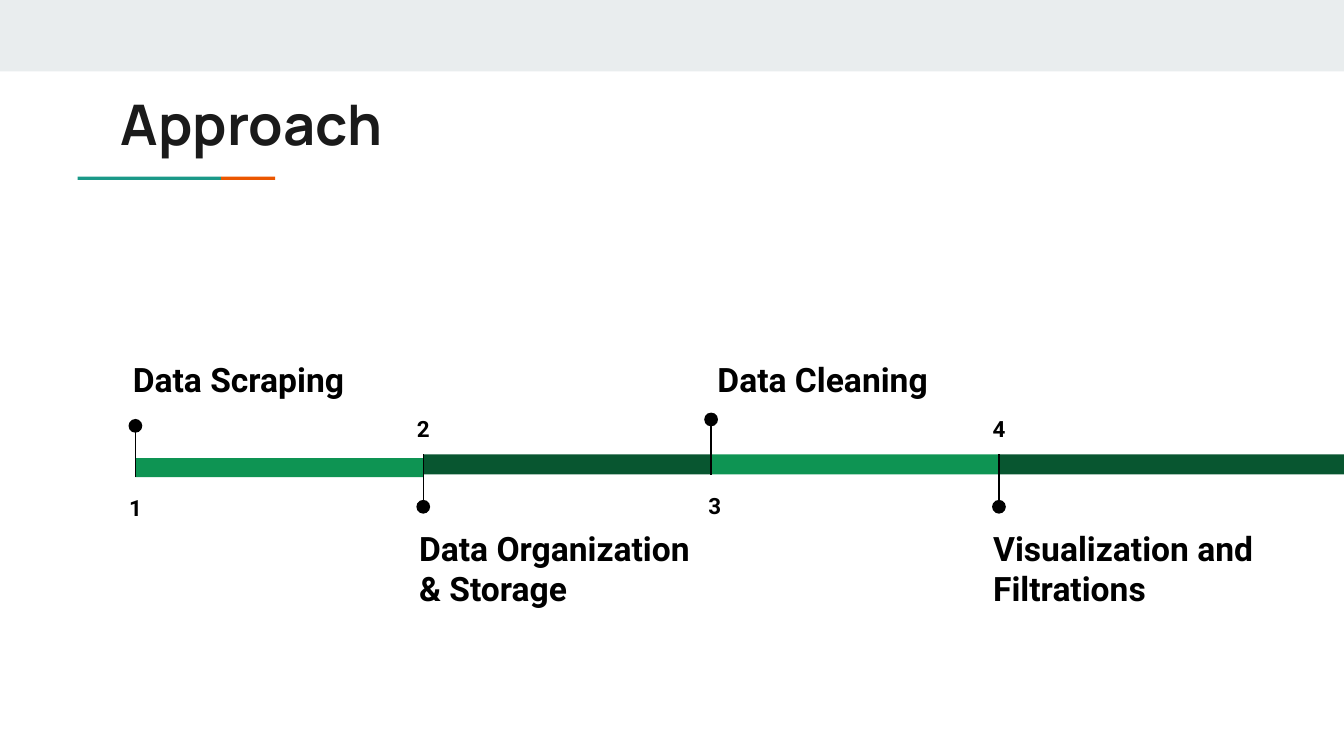
from lxml import etree
from pptx import Presentation
from pptx.dml.color import RGBColor
from pptx.enum import shapes, text
from pptx.oxml.ns import qn
from pptx.util import Cm, Pt

THEME = {
    "band": "E9EDEE", "teal": "1A9988", "orange": "EB5600", "title": "1A1A1A",
    "light": "0E9453", "dark": "085630", "ink": "000000",
    "title_font": "Manrope", "body_font": "Roboto",
    "title_size": 30, "label_size": 18, "number_size": 12,
}
TITLE = "Approach"
# label, label above the bar, bar top, bar height, stem's dot y,
# label left offset, label width, number offset
STEPS = [
    ("Data Scraping", True, 8.66, 0.36, 8.05, -0.30, 6.25, 0),
    ("Data Organization & Storage", False, 8.59, 0.38, 9.58, -0.33, 5.77, 0),
    ("Data Cleaning", True, 8.59, 0.38, 7.93, -0.13, 6.25, 0.07),
    ("Visualization and Filtrations", False, 8.59, 0.38, 9.58, -0.36, 6.25, 0),
]
WIDTH, HEIGHT = 25.4, 14.29
FIRST_X, PITCH = 2.56, 5.44
DOT = 0.26
NUMBER_W, NUMBER_H = 2.08, 1.04
ABOVE_Y, BELOW_Y = 6.53, 9.73


def color(name):
    return RGBColor.from_string(THEME[name])


def add_block(slide, x, y, w, h, fill, kind=shapes.MSO_SHAPE.RECTANGLE):
    sp = slide.shapes.add_shape(kind, Cm(x), Cm(y), Cm(w), Cm(h))
    sp.shadow.inherit = False
    sp.fill.solid()
    sp.fill.fore_color.rgb = color(fill)
    sp.line.fill.background()


def add_stem(slide, x, y1, y2):
    line = slide.shapes.add_connector(
        shapes.MSO_CONNECTOR.STRAIGHT, Cm(x), Cm(y1), Cm(x), Cm(y2))
    line.line.color.rgb = color("ink")
    line.line.width = Pt(0.75)
    etree.SubElement(line._element.spPr, qn("a:effectLst"))


def write(sp, words, size, font, ink):
    tf = sp.text_frame
    tf.word_wrap = True
    tf.auto_size = text.MSO_AUTO_SIZE.NONE
    tf.vertical_anchor = text.MSO_ANCHOR.TOP
    tf.margin_left = tf.margin_right = tf.margin_top = tf.margin_bottom = Cm(0.25)
    tf.text = words
    p = tf.paragraphs[0]
    p.alignment = text.PP_ALIGN.LEFT
    f = p.runs[0].font
    f.name, f.size, f.bold = THEME[font], Pt(THEME[size]), True
    f.color.rgb = color(ink)
    return p


def add_text(slide, x, y, w, h, words, size):
    sp = slide.shapes.add_textbox(Cm(x), Cm(y), Cm(w), Cm(h))
    return write(sp, words, size, "body_font", "ink")


def add_step(slide, i, step):
    label, above, top, bar_h, dot_y, label_dx, label_w, number_dx = step
    x = FIRST_X + i * PITCH
    end = WIDTH if i == len(STEPS) - 1 else x + PITCH
    bottom = top + bar_h
    add_block(slide, x, top, end - x, bar_h, "dark" if i % 2 else "light")
    add_stem(slide, x, dot_y, bottom if above else top)
    add_block(slide, x - DOT / 2, dot_y - DOT / 2, DOT, DOT, "ink",
              shapes.MSO_SHAPE.OVAL)
    number_y = bottom if above else top - NUMBER_H - 0.03
    p = add_text(slide, x - NUMBER_W / 2 + number_dx, number_y,
                 NUMBER_W, NUMBER_H, str(i + 1), "number_size")
    p.alignment = text.PP_ALIGN.CENTER
    p.line_spacing = 1.15
    p.space_after = Pt(16)
    add_text(slide, x + label_dx, ABOVE_Y if above else BELOW_Y,
             label_w, 1.38 if above else 2.62, label, "label_size")


def main():
    prs = Presentation()
    prs.slide_width, prs.slide_height = Cm(WIDTH), Cm(HEIGHT)
    slide = prs.slides.add_slide(prs.slide_layouts[5])

    add_block(slide, 0, 0, WIDTH, 1.35, "band")
    add_block(slide, 1.47, 3.34, 2.71, 0.06, "teal")
    add_block(slide, 4.18, 3.34, 1.02, 0.06, "orange")

    title = slide.shapes.title
    title.left, title.top = Cm(2.03), Cm(1.45)
    title.width, title.height = Cm(21.36), Cm(1.5)
    write(title, TITLE, "title_size", "title_font", "title")

    for i, step in enumerate(STEPS):
        add_step(slide, i, step)
    prs.save("out.pptx")


if __name__ == "__main__":
    main()
